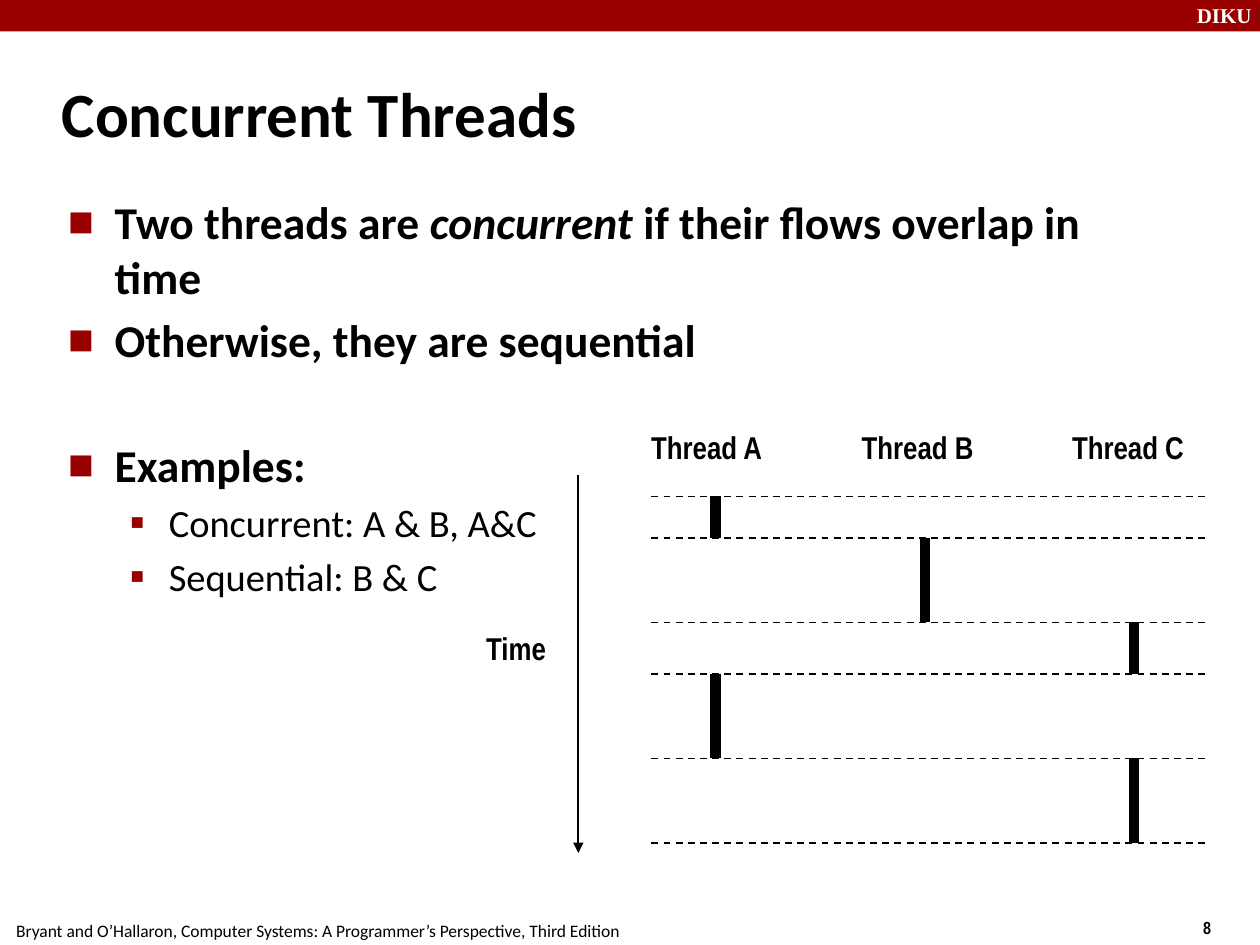
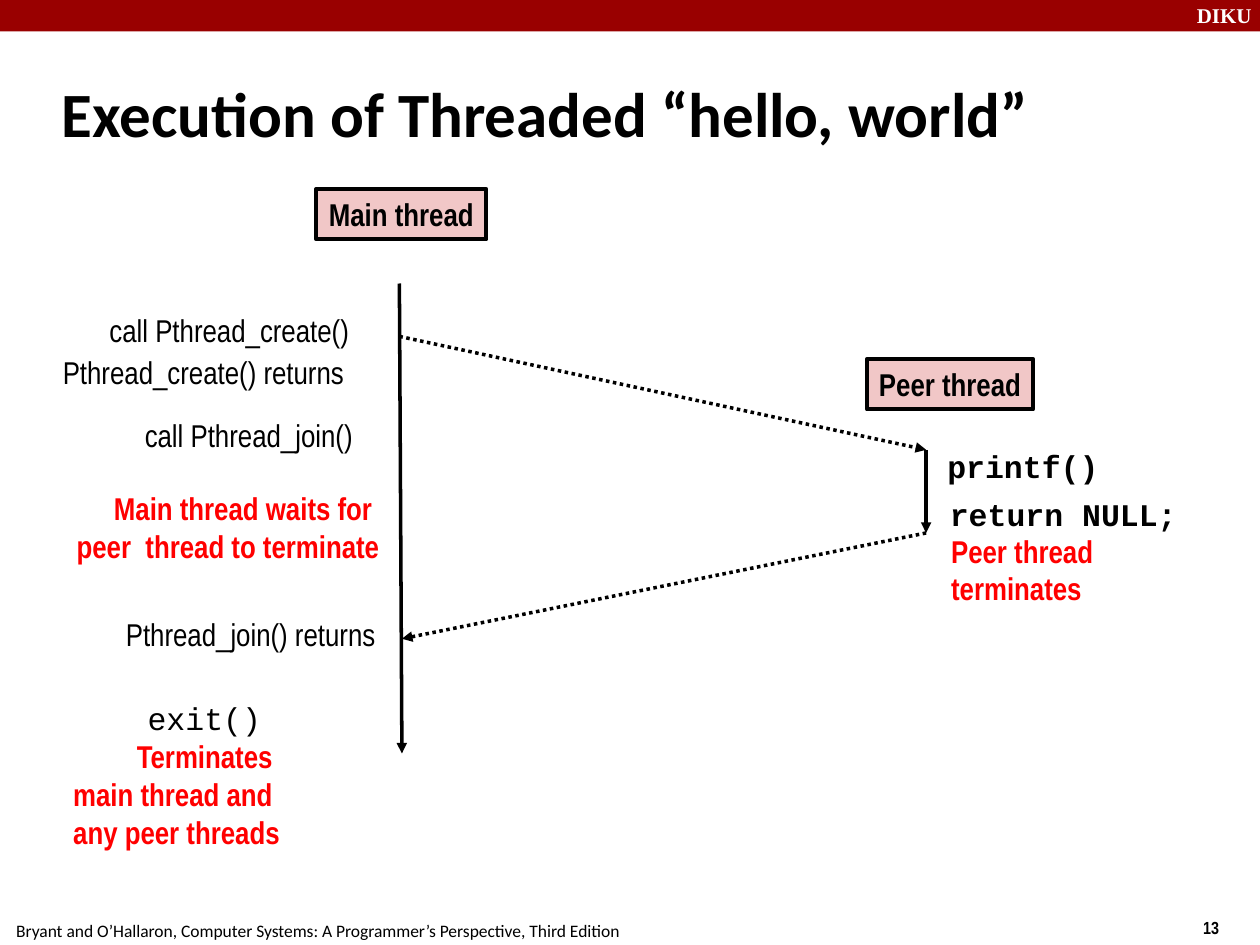
from dataclasses import dataclass

from lxml import etree
from pptx import Presentation
from pptx import util as u
from pptx.dml.color import RGBColor
from pptx.enum import dml, shapes, text
from pptx.oxml import ns

Inches, Pt = u.Inches, u.Pt
LEFT, CENTER, RIGHT = text.PP_ALIGN.LEFT, text.PP_ALIGN.CENTER, text.PP_ALIGN.RIGHT
TOP, MIDDLE = text.MSO_ANCHOR.TOP, text.MSO_ANCHOR.MIDDLE
DASH, DOT = dml.MSO_LINE.DASH, dml.MSO_LINE.ROUND_DOT


@dataclass(frozen=True)
class Theme:
    ink: str = "000000"
    paper: str = "FFFFFF"
    band: str = "990000"
    alert: str = "FF0000"
    box: str = "F1C7C7"
    body: str = "Calibri"
    label: str = "Arial Narrow"
    code: str = "Courier New"
    mark: str = "Times New Roman"
    title_size: int = 36
    item_size: int = 26
    subitem_size: int = 22
    label_size: int = 18
    mark_size: int = 12
    footer_size: int = 10


T = Theme()
BULLETS = [
    dict(char="■", scale=60, left=0.38, hang=0.37, size=T.item_size, before=5.2, bold=True),
    dict(char="▪", scale=110, left=0.81, hang=0.31, size=T.subitem_size, before=4.4, bold=False),
]
FOOTER = "Bryant and O’Hallaron, Computer Systems: A Programmer’s Perspective, Third Edition"


def rgb(value):
    return RGBColor.from_string(value)


def add(parent, tag, **attrs):
    return etree.SubElement(parent, ns.qn(tag), attrs)


class Deck:
    def __init__(self, theme):
        self.theme = theme
        self.prs = Presentation()
        self.prs.slide_width, self.prs.slide_height = Inches(10), Inches(7.5)
        self.s = None

    def slide(self, title, number, layout):
        t = self.theme
        self.s = self.prs.slides.add_slide(self.prs.slide_layouts[layout])
        self.rect(0, 0, 10, 0.25, t.band)
        self.text(9.4, -0.03, 0.67, 0.3, ["DIKU"], font=t.mark, size=t.mark_size,
                  color=t.paper, bold=True, wrap=True)
        self.text(9.45, 7.23, 0.5, 0.27, [number], size=t.footer_size, bold=True, wrap=True)
        self.text(0.03, 7.25, 4.99, 0.25, [FOOTER], font=t.body, size=t.footer_size)
        sp = self.s.shapes.title
        self.place(sp, 0.39, 0.48, 8.3, 0.83)
        p = self.frame(sp, MIDDLE, True).paragraphs[0]
        p.alignment = LEFT
        self.run(p, title, t.body, t.title_size, bold=True)

    def place(self, sp, x, y, w, h):
        sp.left, sp.top, sp.width, sp.height = map(Inches, (x, y, w, h))

    def frame(self, sp, anchor=TOP, wrap=False):
        tf = sp.text_frame
        tf.auto_size = text.MSO_AUTO_SIZE.NONE
        tf.word_wrap = wrap
        tf.vertical_anchor = anchor
        tf.margin_left = tf.margin_right = Inches(0.1)
        tf.margin_top = tf.margin_bottom = Inches(0.05)
        return tf

    def run(self, p, words, font, size, color=None, bold=False, italic=False):
        r = p.add_run()
        r.text = words
        r.font.name, r.font.size = font, Pt(size)
        r.font.bold, r.font.italic = bold, italic
        r.font.color.rgb = rgb(color or self.theme.ink)

    def fill_lines(self, tf, lines, align=LEFT, **style):
        style = dict(font=self.theme.label, size=self.theme.label_size) | style
        for i, line in enumerate(lines):
            p = tf.add_paragraph() if i else tf.paragraphs[0]
            p.alignment = align
            words, own = line if isinstance(line, tuple) else (line, {})
            self.run(p, words, **(style | own))

    def text(self, x, y, w, h, lines, anchor=TOP, wrap=False, **style):
        sp = self.s.shapes.add_textbox(*map(Inches, (x, y, w, h)))
        self.fill_lines(self.frame(sp, anchor, wrap), lines, **style)

    def rect(self, x, y, w, h, fill, border=None):
        sp = self.s.shapes.add_shape(shapes.MSO_SHAPE.RECTANGLE, *map(Inches, (x, y, w, h)))
        sp.shadow.inherit = False
        sp.fill.solid()
        sp.fill.fore_color.rgb = rgb(fill)
        if border:
            sp.line.color.rgb = rgb(self.theme.ink)
            sp.line.width = Pt(border)
        else:
            sp.line.fill.background()
        return sp

    def box(self, x, y, w, h, label):
        sp = self.rect(x, y, w, h, self.theme.box, 2.25)
        self.fill_lines(self.frame(sp, MIDDLE), [label], CENTER, bold=True)

    def line(self, x1, y1, x2, y2, width, dash=None, arrow=False):
        sp = self.s.shapes.add_connector(shapes.MSO_CONNECTOR.STRAIGHT,
                                         *map(Inches, (x1, y1, x2, y2)))
        sp.line.color.rgb = rgb(self.theme.ink)
        sp.line.width = Pt(width)
        if dash:
            sp.line.dash_style = dash
        props = sp._element.spPr
        if arrow:
            add(props.find(ns.qn("a:ln")), "a:tailEnd", type="triangle")
        add(props, "a:effectLst")

    def bullets(self, x, y, w, h, items):
        sp = self.s.placeholders[1]
        self.place(sp, x, y, w, h)
        tf = self.frame(sp, wrap=True)
        for i, (level, before, runs) in enumerate(items):
            b = BULLETS[level]
            p = tf.add_paragraph() if i else tf.paragraphs[0]
            p.level = level
            p.space_before = Pt((before or b["before"]) if i else 0)
            props = p._p.get_or_add_pPr()
            props.set("marL", str(Inches(b["left"])))
            props.set("indent", str(-Inches(b["hang"])))
            add(add(props, "a:buClr"), "a:srgbClr", val=self.theme.band)
            add(props, "a:buSzPct", val=str(b["scale"] * 1000))
            add(props, "a:buFont", typeface=self.theme.body)
            add(props, "a:buChar", char=b["char"])
            for words, italic in runs:
                self.run(p, words, self.theme.body, b["size"], bold=b["bold"], italic=italic)


def concurrent_threads(deck):
    deck.slide("Concurrent Threads", "8", 1)
    deck.bullets(0.43, 1.49, 8.63, 5.44, [
        (0, None, [("Two threads are ", False), ("concurrent", True),
                   (" if their flows overlap in time", False)]),
        (0, None, [("Otherwise, they are sequential", False)]),
        (0, 40, [("Examples:", False)]),
        (1, None, [("Concurrent: A & B, A&C", False)]),
        (1, None, [("Sequential: B & C", False)]),
    ])
    deck.line(4.59, 3.77, 4.59, 6.77, 1, arrow=True)
    deck.text(3.76, 4.94, 0.67, 0.4, ["Time"], bold=True)
    threads = "ABC"
    for i, name in enumerate(threads):
        deck.text(5.07 + 1.67 * i, 3.35, 1.08, 0.4, [f"Thread {name}"], bold=True)
    switches = [3.94, 4.27, 4.94, 5.35, 6.02, 6.69]
    for name, start, end in zip("ABCAC", switches, switches[1:]):
        x = 5.68 + 1.66 * threads.index(name)
        deck.line(x, start, x, end, 6)
    for y in switches:
        deck.line(5.17, y, 9.59, y, 1, DASH)


def hello_world(deck):
    deck.slide("Execution of Threaded “hello, world”", "13", 5)
    alert = dict(color=T.alert, bold=True)
    code = dict(font=T.code)
    deck.box(2.51, 1.5, 1.35, 0.4, "Main thread")
    deck.box(6.88, 2.85, 1.32, 0.4, "Peer thread")
    for ends, dash in [
        ((3.17, 2.25, 3.19, 5.98), None),
        ((7.35, 3.57, 7.35, 4.23), None),
        ((3.17, 2.67, 7.35, 3.57), DOT),
        ((7.35, 4.23, 3.19, 5.07), DOT),
    ]:
        deck.line(*ends, 2, dash, arrow=True)
    for x, y, w, call in [
        (0.78, 2.42, 2.09, "call Pthread_create()"),
        (0.42, 2.75, 2.41, "Pthread_create() returns"),
        (1.06, 3.25, 1.84, "call Pthread_join()"),
        (0.98, 4.83, 2.1, "Pthread_join() returns"),
    ]:
        deck.text(x, y, w, 0.4, [call], align=RIGHT)
    deck.text(0.52, 3.83, 2.59, 0.7, ["Main thread waits for ", "peer  thread to terminate"],
              MIDDLE, align=RIGHT, **alert)
    deck.text(0.49, 5.5, 1.83, 1.3,
              [("exit() ", code), ("Terminates ", alert),
               ("main thread and ", alert), ("any peer threads", alert)],
              MIDDLE, align=RIGHT)
    deck.text(7.42, 3.5, 1.4, 0.4, ["printf()"], MIDDLE, bold=True, **code)
    deck.text(7.44, 3.88, 2, 0.4, ["return NULL;"], MIDDLE, bold=True, **code)
    deck.text(7.45, 4.17, 1.32, 0.7, ["Peer thread", "terminates"], **alert)


def main():
    deck = Deck(T)
    concurrent_threads(deck)
    hello_world(deck)
    deck.prs.save("out.pptx")


if __name__ == "__main__":
    main()
